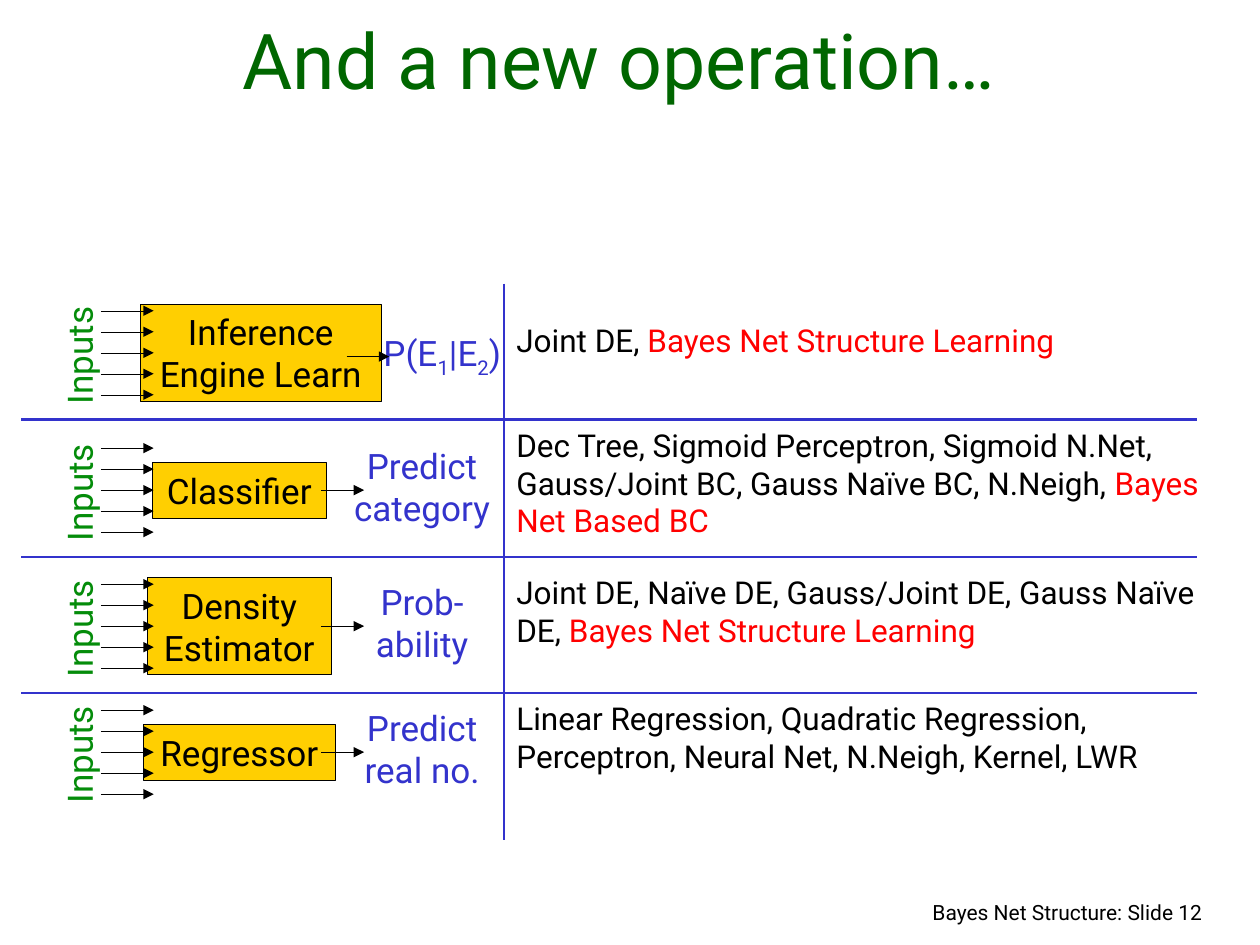
import dataclasses

import lxml.etree
import pptx
import pptx.dml.color
import pptx.enum.shapes
import pptx.enum.text
import pptx.oxml.ns
import pptx.util
from pptx.util import Inches

ALIGN = pptx.enum.text.PP_ALIGN
ANCHOR = pptx.enum.text.MSO_ANCHOR


@dataclasses.dataclass(frozen=True)
class Theme:
    font: str = "Roboto"
    title: str = "006600"
    inputs: str = "048C0A"
    ink: str = "000000"
    accent: str = "3333CC"
    new: str = "FF0000"
    fill: str = "FFCF01"
    title_size: float = 44
    label_size: float = 20
    body_size: float = 18
    footer_size: float = 12
    thin: float = 0.25
    rule: float = 1.5


@dataclasses.dataclass(frozen=True)
class Box:
    left: float
    top: float
    width: float
    height: float

    @property
    def middle(self):
        return self.top + self.height / 2

    def lengths(self):
        return [Inches(v) for v in (self.left, self.top, self.width, self.height)]


@dataclasses.dataclass(frozen=True)
class Process:
    middle: float
    name: list
    name_width: float
    output: list
    output_width: float
    methods_top: float
    methods_size: tuple
    methods: list
    shift: float = 0        # moves the named box to the right
    output_shift: float = 0
    output_drop: float = -0.03
    arrow_shift: float = 0
    arrow_drop: float = 0


THEME = Theme()

PROCESSES = [
    Process(2.8, [["Inference"], ["Engine Learn"]], 1.91,
            [["P(E", ("1", -25000), "|E", ("2", -25000), ")"]], 1.18,
            2.5, (5.87, 0.4),
            [("Joint DE, ", THEME.ink), ("Bayes Net Structure Learning", THEME.new)],
            shift=0.17, output_shift=0.16, output_drop=0.02,
            arrow_shift=0.2, arrow_drop=0.03),
    Process(3.89, [["Classifier"]], 1.38, [["Predict"], ["category"]], 1.34,
            3.33, (5.83, 1),
            [("Dec Tree, Sigmoid Perceptron, Sigmoid N.Net, Gauss/Joint BC, "
              "Gauss Naïve BC, N.Neigh, ", THEME.ink),
             ("Bayes Net Based BC", THEME.new)]),
    Process(4.97, [["Density"], ["Estimator"]], 1.46, [["Prob-"], ["ability"]], 0.98,
            4.5, (5.87, 0.7),
            [("Joint DE, Naïve DE, Gauss/Joint DE, Gauss Naïve DE, ", THEME.ink),
             ("Bayes Net Structure Learning", THEME.new)]),
    Process(5.97, [["Regressor"]], 1.52, [["Predict"], ["real no."]], 1.19,
            5.5, (5.58, 0.7),
            [("Linear Regression, Quadratic Regression, Perceptron, Neural Net, "
              "N.Neigh, Kernel, LWR", THEME.ink)]),
]


def rgb(color):
    return pptx.dml.color.RGBColor.from_string(color)


def add_span(para, text, size, color, baseline=0):
    span = para.add_run()
    span.text = text
    span.font.name = THEME.font
    span.font.size = pptx.util.Pt(size)
    span.font.color.rgb = rgb(color)
    if baseline:
        span.font._element.set("baseline", str(baseline))


def write(shape, lines, size, color, align=ALIGN.CENTER, anchor=ANCHOR.TOP, wrap=False):
    """Each line is a list of spans: plain text, or text with a baseline."""
    frame = shape.text_frame
    frame.word_wrap = wrap
    frame.vertical_anchor = anchor
    for index, line in enumerate(lines):
        para = frame.paragraphs[0] if index == 0 else frame.add_paragraph()
        para.alignment = align
        for part in line:
            text, baseline = (part, 0) if isinstance(part, str) else part
            add_span(para, text, size, color, baseline)


def add_line(page, start, end, color, width, arrow=False):
    line = page.shapes.add_connector(
        pptx.enum.shapes.MSO_CONNECTOR.STRAIGHT,
        *[Inches(v) for v in (*start, *end)])
    line.line.color.rgb = rgb(color)
    line.line.width = pptx.util.Pt(width)
    if arrow:
        tail = lxml.etree.SubElement(line.line._get_or_add_ln(),
                                     pptx.oxml.ns.qn("a:tailEnd"))
        tail.set("type", "triangle")
    lxml.etree.SubElement(line._element.spPr, pptx.oxml.ns.qn("a:effectLst"))


def draw_title(page, box):
    title = page.shapes.add_textbox(*box.lengths())
    write(title, [["And a new operation…"]], THEME.title_size, THEME.title,
          anchor=ANCHOR.BOTTOM, wrap=True)


def draw_footer(page, box):
    footer = page.shapes.add_textbox(*box.lengths())
    write(footer, [["Bayes Net Structure: Slide 12"]], THEME.footer_size, THEME.ink,
          align=ALIGN.RIGHT, wrap=True)


def draw_process(page, box, process):
    # Rotated caption of the inputs
    caption = page.shapes.add_textbox(
        *Box(box.left, box.middle - 0.2, 1.04, 0.44).lengths())
    caption.rotation = 270
    write(caption, [["Inputs"]], THEME.label_size, THEME.inputs)

    # Named box
    height = 0.44 if len(process.name) == 1 else 0.77
    center = box.left + 1.79 + process.shift
    named = page.shapes.add_shape(
        pptx.enum.shapes.MSO_SHAPE.RECTANGLE,
        *Box(center - process.name_width / 2, box.middle - height / 2,
             process.name_width, height).lengths())
    named.shadow.inherit = False
    named.fill.solid()
    named.fill.fore_color.rgb = rgb(THEME.fill)
    named.line.color.rgb = rgb(THEME.ink)
    named.line.width = pptx.util.Pt(THEME.thin)
    write(named, process.name, THEME.label_size, THEME.ink, anchor=ANCHOR.MIDDLE)

    # Output
    height = 0.48 if len(process.output) == 1 else 0.77
    center = box.left + 3.24 + process.output_shift
    output = page.shapes.add_textbox(
        *Box(center - process.output_width / 2,
             box.middle + process.output_drop - height / 2,
             process.output_width, height).lengths())
    write(output, process.output, THEME.label_size, THEME.accent)

    # Five arrows in, one arrow out
    for step in range(-2, 3):
        y = box.middle + step / 6
        add_line(page, (box.left + 0.69, y), (box.left + 1.11, y),
                 THEME.ink, THEME.thin, arrow=True)
    x, y = box.left + 2.44 + process.arrow_shift, box.middle + process.arrow_drop
    add_line(page, (x, y), (x + 0.34, y), THEME.ink, THEME.thin, arrow=True)


def draw_rules(page, box, row_lines, divider):
    for y in row_lines:
        add_line(page, (box.left, y), (box.left + box.width, y), THEME.accent, THEME.rule)
    add_line(page, (divider, box.top), (divider, box.top + box.height),
             THEME.accent, THEME.rule)


def draw_methods(page, box, spans):
    methods = page.shapes.add_textbox(*box.lengths())
    methods.text_frame.word_wrap = True
    for text, color in spans:
        add_span(methods.text_frame.paragraphs[0], text, THEME.body_size, color)


def main():
    deck = pptx.Presentation()
    deck.slide_width, deck.slide_height = Inches(10), Inches(7.5)
    page = deck.slides.add_slide(deck.slide_layouts[6])

    draw_footer(page, Box(5.72, 7.09, 3.92, 0.33))
    draw_title(page, Box(0.25, 0.17, 9.33, 0.71))
    draw_rules(page, Box(0.17, 2.25, 9.33, 4.42), (3.33, 4.42, 5.5), divider=4)
    for process in PROCESSES:
        draw_process(page, Box(0.11, process.middle - 0.5, 3.89, 1), process)
        draw_methods(page, Box(4, process.methods_top, *process.methods_size),
                     process.methods)

    deck.save("out.pptx")


if __name__ == "__main__":
    main()
